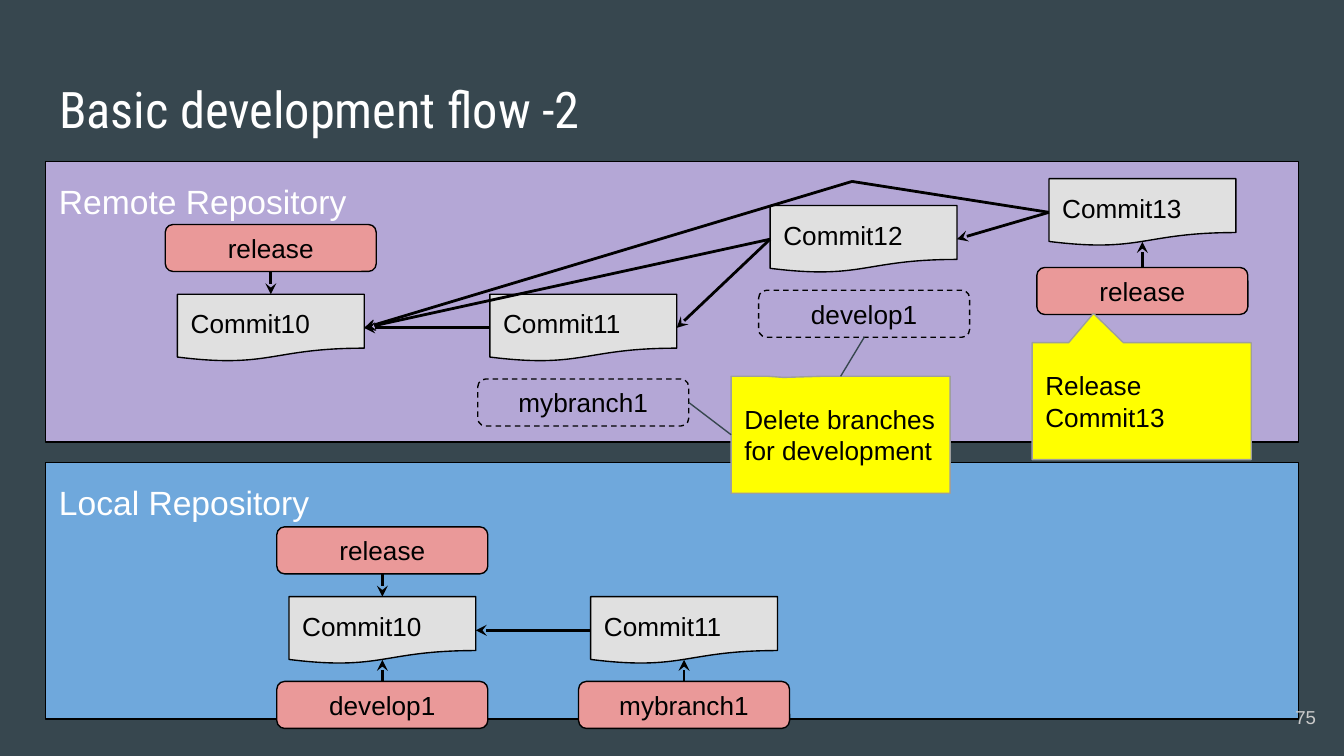
from lxml import etree
from pptx import Presentation
from pptx.dml.color import RGBColor
from pptx.enum.dml import MSO_LINE_DASH_STYLE as DASH
from pptx.enum.shapes import MSO_CONNECTOR, MSO_SHAPE as SHAPE
from pptx.enum.text import MSO_ANCHOR as ANCHOR, PP_ALIGN as ALIGN
from pptx.oxml.ns import qn
from pptx.util import Inches, Pt

SLATE = RGBColor(0x37, 0x47, 0x4F)
BLUE = RGBColor(0x6F, 0xA8, 0xDC)
PURPLE = RGBColor(0xB4, 0xA7, 0xD6)
PINK = RGBColor(0xEA, 0x99, 0x99)
PAPER = RGBColor(0xE0, 0xE0, 0xE0)
YELLOW = RGBColor(0xFF, 0xFF, 0x00)
GREY = RGBColor(0x9E, 0x9E, 0x9E)
PALE = RGBColor(0xCA, 0xCA, 0xCA)
BLACK = RGBColor(0, 0, 0)
WHITE = RGBColor(255, 255, 255)
TOP, LEFT, BOTTOM, RIGHT = range(4)

prs = Presentation()
prs.slide_width = Inches(10)
prs.slide_height = prs.slide_width * 9 // 16
U = prs.slide_width / 100  # square grid, 100 columns wide
s = prs.slides.add_slide(prs.slide_layouts[5])
s.background.fill.solid()
s.background.fill.fore_color.rgb = SLATE


def write(sp, text, size=14, font="Arial", color=BLACK, align=ALIGN.LEFT,
          anchor=ANCHOR.MIDDLE, spacing=None):
    tf = sp.text_frame
    tf.word_wrap = True
    tf.vertical_anchor = anchor
    tf.margin_left = tf.margin_right = tf.margin_top = tf.margin_bottom = Inches(0.1)
    tf.text = text
    for p in tf.paragraphs:
        p.alignment = align
        p.line_spacing = spacing
        p.font.size, p.font.name, p.font.color.rgb = Pt(size), font, color


def draw(kind, box, fill, line=BLACK):
    sp = s.shapes.add_shape(kind, *(round(v * U) for v in box))
    sp.shadow.inherit = False
    if fill is None:
        sp.fill.background()
        sp.line.dash_style = DASH.DASH
    else:
        sp.fill.solid()
        sp.fill.fore_color.rgb = fill
    sp.line.color.rgb, sp.line.width = line, Pt(0.75)
    return sp


# Repository panels
for top, height, fill, label in [(34.4, 19.1, BLUE, "Local Repository"),
                                 (12, 20.9, PURPLE, "Remote Repository")]:
    panel = draw(SHAPE.RECTANGLE, (3.4, top, 93.2, height), fill)
    write(panel, label, size=18, color=WHITE, anchor=ANCHOR.TOP, spacing=1.15)

# Title and page number
title = s.shapes.title
title.left, title.top, title.width, title.height = (
    round(v * U) for v in (3.4, 4.95, 93.2, 6.3))
write(title, "Basic development flow -2", size=27, font="Roboto Condensed", color=WHITE)
number = s.shapes.add_textbox(*(round(v * U) for v in (92.9, 51.2, 6, 4.3)))
write(number, "75", size=10, color=PALE, align=ALIGN.RIGHT)

# Commits: name, centre column, top row
COMMIT_W, COMMIT_H = 13.9, 5
commits = {}
for key, label, x, y in [
        ("remote10", "Commit10", 20.15, 21.9), ("remote11", "Commit11", 43.4, 21.9),
        ("remote12", "Commit12", 64.25, 15.3), ("remote13", "Commit13", 85, 13.3),
        ("local10", "Commit10", 28.45, 44.4), ("local11", "Commit11", 50.9, 44.4)]:
    commits[key] = draw(SHAPE.FLOWCHART_DOCUMENT,
                        (x - COMMIT_W / 2, y, COMMIT_W, COMMIT_H), PAPER)
    write(commits[key], label, anchor=ANCHOR.TOP)

# Branch labels; a deleted branch has no fill and a dashed outline
BRANCH_W, BRANCH_H = 15.7, 3.5
branches = {}
for key, label, x, y, fill in [
        ("remote10", "release", 20.15, 16.7, PINK), ("remote13", "release", 85, 19.9, PINK),
        ("remote11", "mybranch1", 43.4, 28.2, None),
        ("remote12", "develop1", 64.3, 21.6, None),
        ("local10", "release", 28.45, 39.2, PINK),
        ("local10dev", "develop1", 28.45, 50.7, PINK),
        ("local11", "mybranch1", 50.9, 50.7, PINK)]:
    branches[key] = draw(SHAPE.ROUNDED_RECTANGLE,
                         (x - BRANCH_W / 2, y, BRANCH_W, BRANCH_H), fill)
    write(branches[key], label, align=ALIGN.CENTER)

# Callouts
notes = {}
for key, label, x, y, tip in [
        ("release", "Release\nCommit13", 76.8, 25.5, (-0.22, -0.75)),
        ("delete", "Delete branches for development", 54.4, 28, (-0.26, -0.49))]:
    notes[key] = draw(SHAPE.ROUNDED_RECTANGULAR_CALLOUT, (x, y, 16.3, 8.7), YELLOW, GREY)
    for i, value in enumerate((*tip, 0)):
        notes[key].adjustments[i] = value
    write(notes[key], label)

# Connectors: each end is a (shape, side) pair or a (column, row) point
BEND = (63.4, 13.5)
links = [((commits[a], LEFT), (commits[b], RIGHT), True) for a, b in [
    ("local11", "local10"), ("remote11", "remote10"), ("remote12", "remote10"),
    ("remote12", "remote11"), ("remote13", "remote12")]]
links += [((branches[k], BOTTOM), (commits[k], TOP), True) for k in ("remote10", "local10")]
links += [((branches[k], TOP), point, True) for k, point in [
    ("local10dev", (28.45, 49.1)), ("local11", (50.9, 49.1)), ("remote13", (85, 18))]]
links += [
    ((commits["remote13"], LEFT), BEND, False),
    (BEND, (commits["remote10"], RIGHT), True),
    ((branches["remote11"], RIGHT), (notes["delete"], LEFT), None),
    ((branches["remote12"], BOTTOM), (notes["delete"], TOP), None)]
for start, end, arrow in links:  # None marks a thin leader line
    line = s.shapes.add_connector(MSO_CONNECTOR.STRAIGHT, 0, 0, 0, 0)
    if start is BEND:
        line.begin_x, line.begin_y = (round(v * U) for v in start)
    else:
        line.begin_connect(*start)
    if isinstance(end[0], (int, float)):
        line.end_x, line.end_y = (round(v * U) for v in end)
    else:
        line.end_connect(*end)
    line.line.color.rgb = SLATE if arrow is None else BLACK
    line.line.width = Pt(0.75 if arrow is None else 1.5)
    props = line.element.spPr
    if arrow:
        etree.SubElement(props.find(qn("a:ln")), qn("a:tailEnd"), type="stealth")
    etree.SubElement(props, qn("a:effectLst"))

prs.save("out.pptx")
